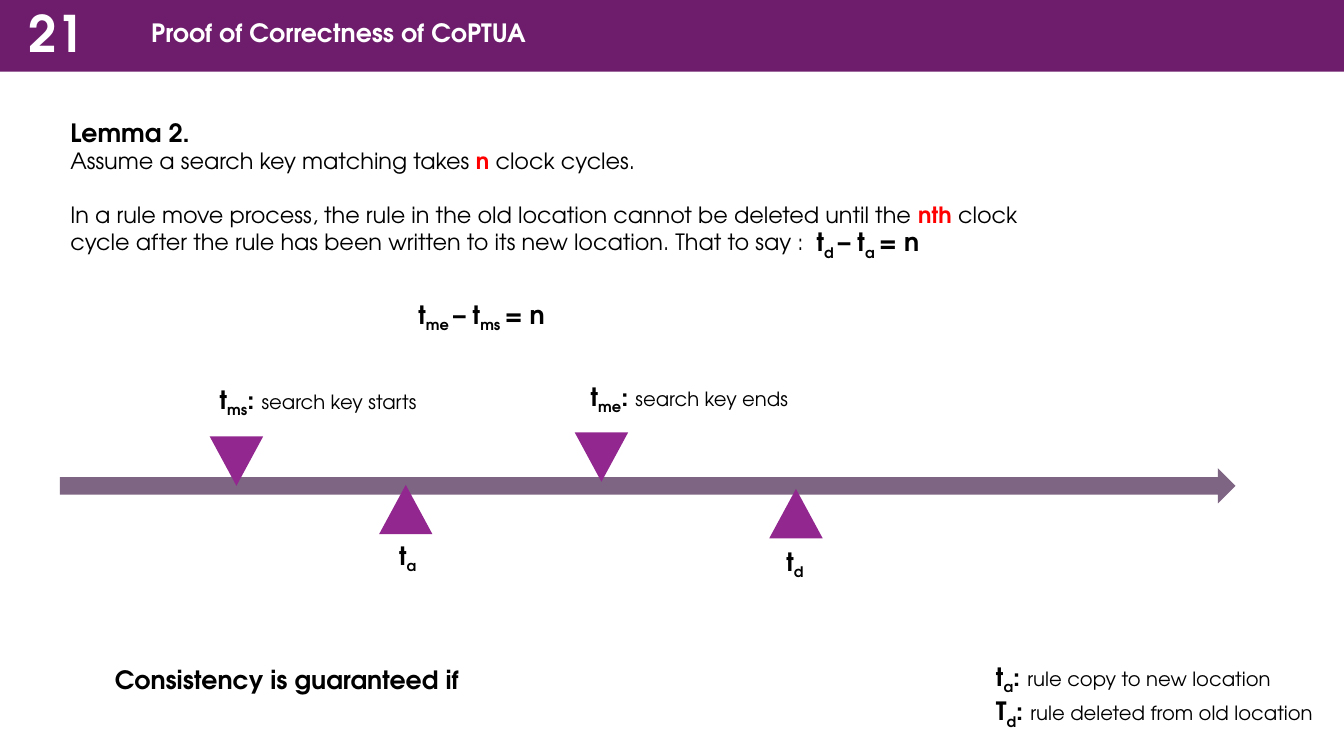
from dataclasses import dataclass

from pptx import Presentation
from pptx.dml.color import RGBColor
from pptx.enum.shapes import MSO_SHAPE
from pptx.enum.text import MSO_ANCHOR, MSO_AUTO_SIZE, PP_ALIGN
from pptx.util import Inches, Pt

RECT = MSO_SHAPE.RECTANGLE
DOWN_ARROW = MSO_SHAPE.DOWN_ARROW
TRIANGLE = MSO_SHAPE.ISOSCELES_TRIANGLE
TOP, MIDDLE = MSO_ANCHOR.TOP, MSO_ANCHOR.MIDDLE
FIT, NO_FIT = MSO_AUTO_SIZE.SHAPE_TO_FIT_TEXT, MSO_AUTO_SIZE.NONE
LEFT = PP_ALIGN.LEFT

FONT = "TeX Gyre Adventor"
BLACK, WHITE, RED = "000000", "FFFFFF", "FF0000"
BAR, TIMELINE, MARKER = "6D1D6B", "7E6583", "92278F"


@dataclass
class Run:
    text: str
    size: float = 18
    bold: bool = True
    color: str = BLACK
    sub: bool = False


@dataclass
class Label:
    left: float
    top: float
    width: float
    height: float
    lines: list[list[Run]]
    wrap: bool = False


@dataclass
class Marker:
    left: float
    top: float
    rotation: float = 0


def rgb(color: str) -> RGBColor:
    return RGBColor.from_string(color)


def body(text: str) -> Run:
    return Run(text, 16, False)


def key(text: str) -> Run:
    return Run(text, 16, True, RED)


def term(sub: str, symbol: str = "t") -> list[Run]:
    return [Run(symbol), Run(sub, sub=True)]


def definition(sub: str, meaning: str, symbol: str = "t") -> list[Run]:
    return term(sub, symbol) + [Run(": "), Run(meaning, 14, False)]


def difference(first: str, second: str) -> list[Run]:
    return term(f"{first} ") + term(f"{second} ", "– t") + [Run("= n")]


def place(sp, left: float, top: float, width: float, height: float) -> None:
    box = {"left": left, "top": top, "width": width, "height": height}
    for name, value in box.items():
        setattr(sp, name, Inches(value))


def write(tf, lines: list[list[Run]]) -> None:
    for i, runs in enumerate(lines):
        p = tf.paragraphs[0] if i == 0 else tf.add_paragraph()
        p.alignment = LEFT
        for run in runs:
            r = p.add_run()
            r.text = run.text
            style = {"name": FONT, "size": Pt(run.size), "bold": run.bold}
            for name, value in style.items():
                setattr(r.font, name, value)
            r.font.color.rgb = rgb(run.color)
            if run.sub:
                r._r.get_or_add_rPr().set("baseline", "-25000")


def add_shape(s, kind, left: float, top: float, width: float, height: float,
              color: str, rotation: float = 0):
    sp = s.shapes.add_shape(kind, *map(Inches, (left, top, width, height)))
    sp.shadow.inherit = False
    sp.fill.solid()
    sp.fill.fore_color.rgb = rgb(color)
    sp.line.fill.background()
    sp.rotation = rotation
    return sp


def add_label(s, label: Label):
    box = (label.left, label.top, label.width, label.height)
    sp = s.shapes.add_textbox(*map(Inches, box))
    tf = sp.text_frame
    tf.word_wrap = label.wrap
    tf.auto_size = FIT
    write(tf, label.lines)
    return sp


LEMMA = Label(0.6, 1.11, 9.67, 1.48, [
    [Run("Lemma 2.")],
    [body("Assume a search key matching takes "), key("n "), body("clock cycles.")],
    [body("In a rule move process, the rule in the old location cannot be deleted until the "),
     key("nth "),
     body("clock cycle after the rule has been written to its new location. That to say :")],
], True)

LABELS = [
    Label(2.08, 3.76, 2.21, 0.4, [definition("ms", "search key starts")]),
    Label(5.76, 3.73, 2.22, 0.4, [definition("me", "search key ends")]),
    Label(4.05, 2.92, 1.58, 0.4, [difference("me", "ms")]),
    Label(8, 2.2, 1.28, 0.4, [difference("d", "a")]),
    Label(3.86, 5.31, 0.39, 0.4, [term("a")]),
    Label(7.7, 5.37, 0.39, 0.4, [term("d")]),
    Label(9.78, 6.51, 3.4, 0.71, [
        definition("a", "rule copy to new location"),
        definition("d", "rule deleted from old location", "T"),
    ]),
    Label(1.04, 6.54, 7.9, 0.4, [[Run("Consistency is guaranteed if")]], True),
]

MARKERS = [Marker(2.08, 4.33, 180), Marker(5.7, 4.29, 180),
           Marker(3.76, 4.81), Marker(7.63, 4.85)]


def add_header(s) -> None:
    bar = add_shape(s, RECT, 0, 0, 13.33, 0.71, BAR)
    s.shapes._spTree.insert(2, bar._element)

    title = s.shapes.title
    place(title, 1.4, 0.16, 11.14, 0.4)
    tf = title.text_frame
    for name, value in {"vertical_anchor": TOP, "auto_size": NO_FIT, "word_wrap": True}.items():
        setattr(tf, name, value)
    write(tf, [[Run("Proof of Correctness of CoPTUA", color=WHITE)]])
    tf.paragraphs[0].line_spacing = 0.9

    number = Label(0.18, 0.09, 1.54, 0.53, [[Run("21", 36, color=WHITE)]], True)
    tf = add_label(s, number).text_frame
    tf.auto_size = NO_FIT
    tf.vertical_anchor = MIDDLE
    tf.paragraphs[0].line_spacing = 0.9


def main() -> None:
    prs = Presentation()
    prs.slide_width, prs.slide_height = Inches(13.33), Inches(7.5)
    s = prs.slides.add_slide(prs.slide_layouts[5])

    add_header(s)
    lemma = add_label(s, LEMMA)
    lemma.text_frame.paragraphs[-1].space_before = Pt(19.2)

    add_shape(s, DOWN_ARROW, 6.25, -1.01, 0.35, 11.66, TIMELINE, 270)
    for m in MARKERS:
        add_shape(s, TRIANGLE, m.left, m.top, 0.53, 0.49, MARKER, m.rotation)
    for label in LABELS:
        add_label(s, label)

    prs.save("out.pptx")


if __name__ == "__main__":
    main()
